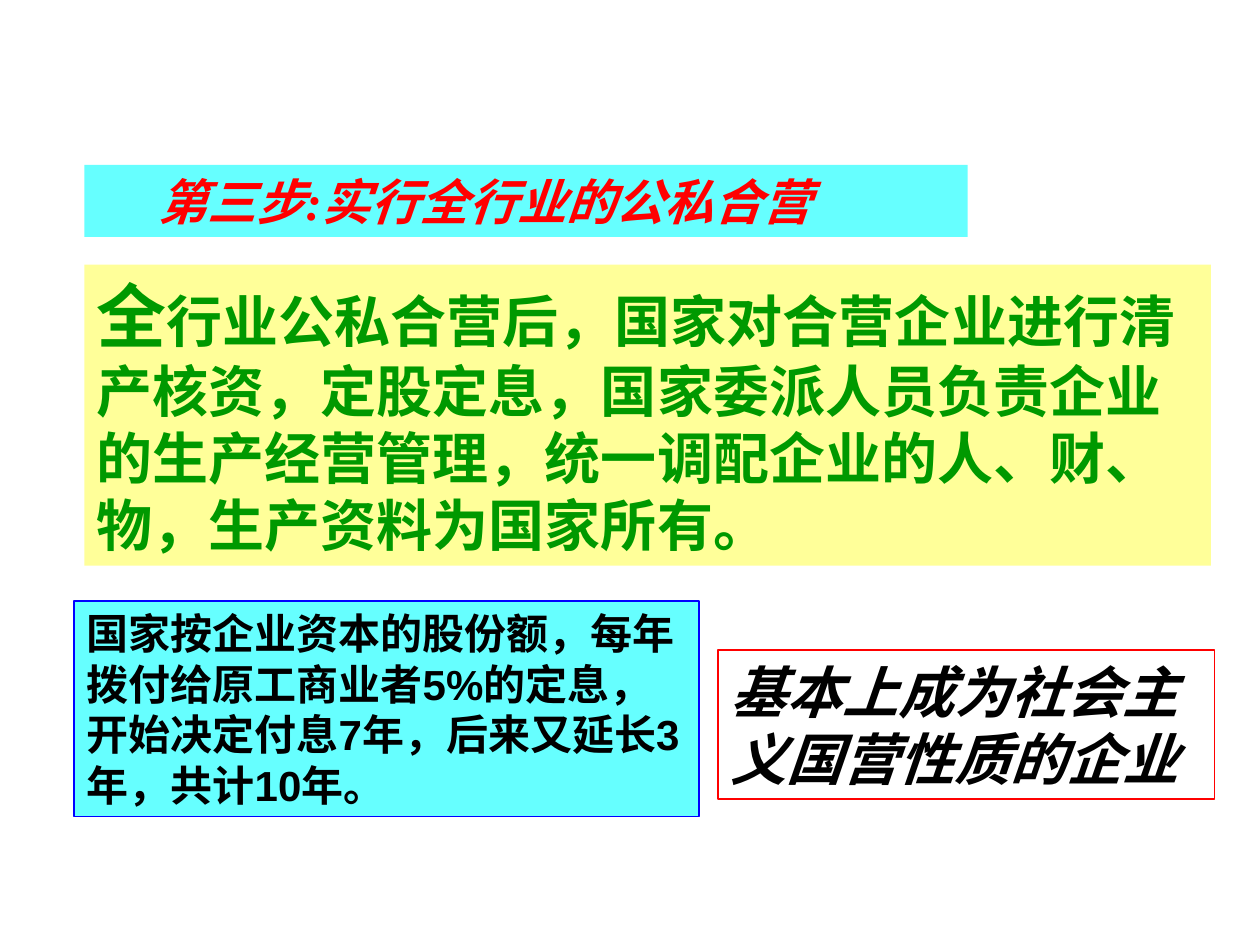
"""Build the slide on the third step: joint state-private ownership of whole trades."""
from pptx import Presentation
from pptx.dml.color import RGBColor
from pptx.enum import shapes, text
from pptx.util import Inches, Pt


def rgb(value):
    return RGBColor.from_string(value)


prs = Presentation()
prs.slide_width, prs.slide_height = Inches(10), Inches(7.5)
s = prs.slides.add_slide(prs.slide_layouts[6])

SERIF, SANS = "Times New Roman", "Arial"
boxes = [
    ((0.67, 1.31, 7.01, 0.57), "66FFFF", None, 0.59, SERIF, "FF0000", True,
     [("第三步:实行全行业的公私合营", 28)]),
    ((0.67, 2.1, 8.94, 2.39), "FFFF99", None, 0.1, SERIF, "009900", False,
     [("全", 40),
      ("行业公私合营后，国家对合营企业进行清产核资，定股定息，国家委派人员负责企业的生产经营管理，"
       "统一调配企业的人、财、物，生产资料为国家所有。", 32)]),
    ((0.59, 4.77, 4.96, 1.71), "66FFFF", "0000FF", 0.1, SANS, "000000", False,
     [("国家按企业资本的股份额，每年拨付给原工商业者5%的定息，"
       "开始决定付息7年，后来又延长3年，共计10年。", 24)]),
    ((5.7, 5.16, 3.94, 1.18), "FFFFFF", "FF0000", 0.1, SERIF, "000000", True,
     [("基本上成为社会主义国营性质的企业", 32)]),
]

for place, fill, line, margin, font, color, italic, runs in boxes:
    sp = s.shapes.add_shape(shapes.MSO_SHAPE.RECTANGLE, *map(Inches, place))
    sp.shadow.inherit = False
    sp.fill.solid()
    sp.fill.fore_color.rgb = rgb(fill)
    if line:
        sp.line.color.rgb = rgb(line)
        sp.line.width = Pt(1)
    else:
        sp.line.fill.background()
    tf = sp.text_frame
    tf.word_wrap = True
    tf.auto_size = text.MSO_AUTO_SIZE.SHAPE_TO_FIT_TEXT
    tf.vertical_anchor = text.MSO_ANCHOR.MIDDLE
    tf.margin_left = Inches(margin)
    p = tf.paragraphs[0]
    p.alignment = text.PP_ALIGN.LEFT
    for words, size in runs:
        r = p.add_run()
        r.text = words
        r.font.name = font
        r.font.size = Pt(size)
        r.font.bold = True
        r.font.italic = italic
        r.font.color.rgb = rgb(color)

prs.save("out.pptx")
